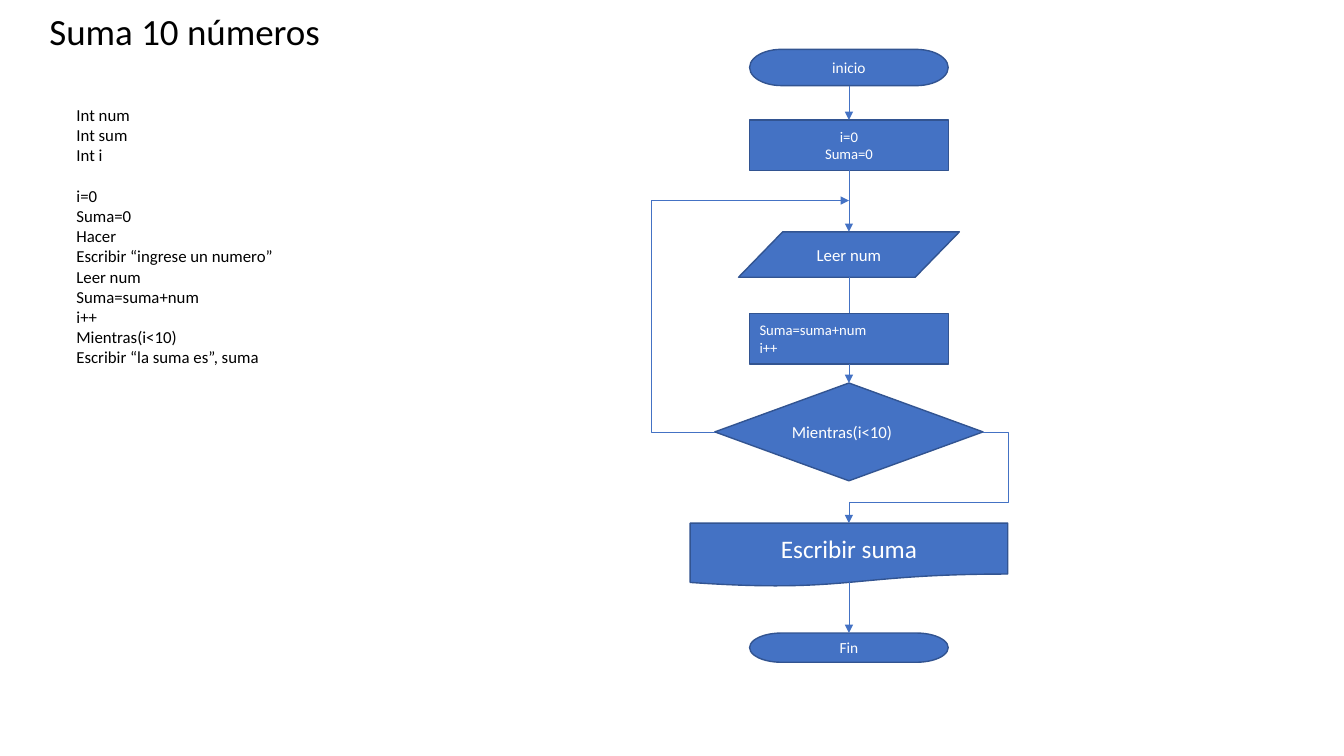
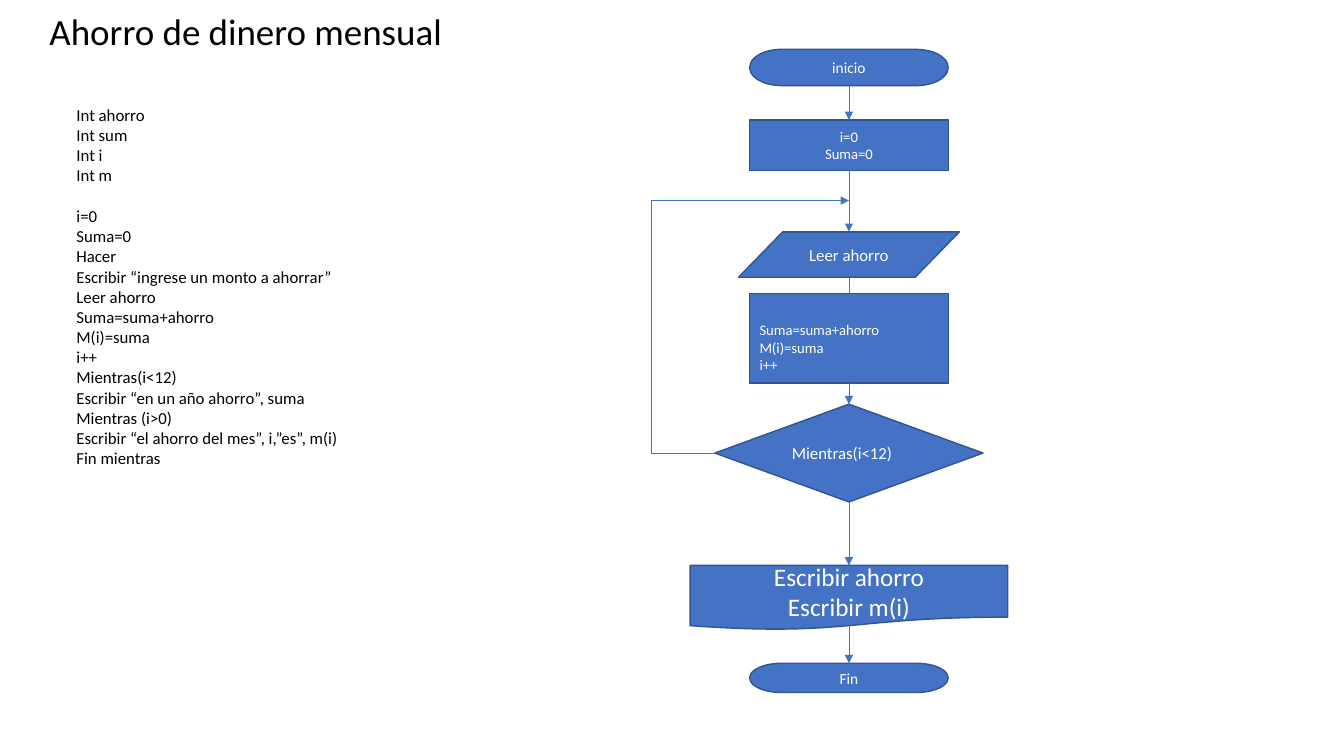
from dataclasses import dataclass

from lxml import etree
from pptx import Presentation
from pptx import util as u
from pptx.dml.color import RGBColor
from pptx.enum import shapes, text
from pptx.oxml import ns

SLIDE_WIDTH = u.Inches(13.33)
SLIDE_HEIGHT = u.Inches(7.5)
GRID_ROWS = 75
CELL = SLIDE_HEIGHT / GRID_ROWS

BLACK = RGBColor(0x00, 0x00, 0x00)
WHITE = RGBColor(0xFF, 0xFF, 0xFF)
BLUE = RGBColor(0x44, 0x72, 0xC4)
DARK_BLUE = RGBColor(0x32, 0x54, 0x91)
FONT = "Calibri"

AXIS_COLUMN = 84.2
LOOP_COLUMN = 64.55
LOOP_ROW = 19.9
EXIT_COLUMN = 100
EXIT_ROW = 49.8
TOP, BOTTOM = 0, 2
LEFT = text.PP_ALIGN.LEFT
CENTER = text.PP_ALIGN.CENTER


@dataclass(frozen=True)
class Kind:
    preset: shapes.MSO_SHAPE
    columns: float
    font_size: float
    alignment: text.PP_ALIGN = CENTER
    exit_share: float = 1
    joins_top: bool = True
    joins_bottom: bool = True
    exit_arrow: bool = True


TERMINAL = Kind(shapes.MSO_SHAPE.FLOWCHART_TERMINATOR, 19.7, 11)
SETUP = Kind(shapes.MSO_SHAPE.FLOWCHART_PROCESS, 19.7, 10.5)
PROCESS = Kind(shapes.MSO_SHAPE.FLOWCHART_PROCESS, 19.7, 10.5, LEFT)
INPUT = Kind(shapes.MSO_SHAPE.FLOWCHART_DATA, 21.9, 12,
             joins_top=False, joins_bottom=False, exit_arrow=False)
DECISION = Kind(shapes.MSO_SHAPE.FLOWCHART_DECISION, 26.6, 12, LEFT)
DOCUMENT = Kind(shapes.MSO_SHAPE.FLOWCHART_DOCUMENT, 31.5, 18,
                exit_share=0.93, joins_bottom=False)


@dataclass(frozen=True)
class Step:
    kind: Kind
    label: str
    row: float
    rows: float
    top_margin: float = 0.5

    @property
    def exit_row(self) -> float:
        return self.row + self.rows * self.kind.exit_share

    @property
    def middle_row(self) -> float:
        return self.row + self.rows / 2


@dataclass(frozen=True)
class Exercise:
    title: str
    declarations: list[str]
    instructions: list[str]
    steps: list[Step]
    side_exit: bool = False


OPENING = [
    Step(TERMINAL, "inicio", 4.9, 3.6),
    Step(SETUP, "i=0\nSuma=0", 11.9, 5),
]

EXERCISES = [
    Exercise(
        "Suma 10 números",
        ["Int num", "Int sum", "Int i"],
        ["i=0", "Suma=0", "Hacer", "Escribir “ingrese un numero”", "Leer num",
         "Suma=suma+num", "i++", "Mientras(i<10)", "Escribir “la suma es”, suma"],
        OPENING + [
            Step(INPUT, "Leer num", 23, 4.5),
            Step(PROCESS, "Suma=suma+num\ni++", 31.1, 5),
            Step(DECISION, "Mientras(i<10)", 38, 9.7),
            Step(DOCUMENT, "Escribir suma", 51.9, 6.3),
            Step(TERMINAL, "Fin", 62.8, 2.9),
        ],
        side_exit=True,
    ),
    Exercise(
        "Ahorro de dinero mensual",
        ["Int ahorro", "Int sum", "Int i", "Int m"],
        ["i=0", "Suma=0", "Hacer", "Escribir “ingrese un monto a ahorrar”",
         "Leer ahorro", "Suma=suma+ahorro", "M(i)=suma", "i++", "Mientras(i<12)",
         "Escribir “en un año ahorro”, suma", "Mientras (i>0)",
         "Escribir “el ahorro del mes”, i,”es”, m(i)", "Fin mientras"],
        OPENING + [
            Step(INPUT, "Leer ahorro", 23, 4.5),
            Step(PROCESS, "Suma=suma+ahorro\nM(i)=suma\ni++", 29.1, 8.9, 2.3),
            Step(DECISION, "Mientras(i<12)", 40.1, 9.7),
            Step(DOCUMENT, "Escribir ahorro\nEscribir m(i)", 56.1, 6.4),
            Step(TERMINAL, "Fin", 65.8, 2.9),
        ],
    ),
]


def cells(count: float) -> int:
    return round(count * CELL)


def format_text(text_frame, size: float, color: RGBColor, alignment) -> None:
    for paragraph in text_frame.paragraphs:
        paragraph.alignment = alignment
        for run in paragraph.runs:
            run.font.name = FONT
            run.font.size = u.Pt(size)
            run.font.color.rgb = color


def add_title(slide, title: str) -> None:
    shape = slide.shapes.title
    shape.left, shape.top = cells(3.9), cells(1.6)
    shape.width, shape.height = cells(83.2), cells(4.5)
    text_frame = shape.text_frame
    text_frame.text = title
    text_frame.auto_size = text.MSO_AUTO_SIZE.NONE
    text_frame.vertical_anchor = text.MSO_ANCHOR.TOP
    text_frame.paragraphs[0].line_spacing = 0.7
    format_text(text_frame, 26.4, BLACK, LEFT)


def add_pseudocode(slide, exercise: Exercise) -> None:
    shape = slide.shapes.add_textbox(cells(6.6), cells(9.9), cells(43.7), cells(62.4))
    text_frame = shape.text_frame
    text_frame.word_wrap = True
    text_frame.text = "\n".join(exercise.declarations + exercise.instructions)
    first_instruction = text_frame.paragraphs[len(exercise.declarations)]
    first_instruction.space_before = u.Pt(14.6)
    format_text(text_frame, 12, BLACK, LEFT)


def add_step(slide, step: Step):
    kind = step.kind
    shape = slide.shapes.add_shape(
        kind.preset, cells(AXIS_COLUMN - kind.columns / 2), cells(step.row),
        cells(kind.columns), cells(step.rows))
    shape.shadow.inherit = False
    shape.fill.solid()
    shape.fill.fore_color.rgb = BLUE
    shape.line.color.rgb = DARK_BLUE
    shape.line.width = u.Pt(1)
    text_frame = shape.text_frame
    text_frame.word_wrap = True
    text_frame.vertical_anchor = text.MSO_ANCHOR.MIDDLE
    text_frame.margin_top = cells(step.top_margin)
    text_frame.text = step.label
    format_text(text_frame, kind.font_size, WHITE, kind.alignment)
    return shape


def add_flow_line(slide, start: tuple[float, float], end: tuple[float, float],
                  arrow: bool = True, bend_column: float | None = None):
    straight = bend_column is None
    connector_type = shapes.MSO_CONNECTOR.STRAIGHT if straight else shapes.MSO_CONNECTOR.ELBOW
    connector = slide.shapes.add_connector(
        connector_type, *(cells(position) for position in start + end))
    connector.line.color.rgb = BLUE
    connector.line.width = u.Pt(0.5)
    properties = connector.element.spPr
    if arrow:
        etree.SubElement(properties.find(ns.qn("a:ln")), ns.qn("a:tailEnd"), type="triangle")
    etree.SubElement(properties, ns.qn("a:effectLst"))
    if not straight:
        share = (bend_column - start[0]) / (end[0] - start[0])
        adjustments = properties.find(ns.qn("a:prstGeom")).find(ns.qn("a:avLst"))
        etree.SubElement(adjustments, ns.qn("a:gd"), name="adj1",
                         fmla=f"val {round(share * 100000)}")
    return connector


def add_flowchart(slide, exercise: Exercise) -> None:
    steps = exercise.steps
    drawn = [add_step(slide, step) for step in steps]
    for index, (step, following) in enumerate(zip(steps, steps[1:])):
        side_exit = exercise.side_exit and step.kind is DECISION
        start_row = EXIT_ROW if side_exit else step.exit_row
        connector = add_flow_line(slide, (AXIS_COLUMN, start_row),
                                  (AXIS_COLUMN, following.row), step.kind.exit_arrow)
        if step.kind.joins_bottom and not side_exit:
            connector.begin_connect(drawn[index], BOTTOM)
        if following.kind.joins_top:
            connector.end_connect(drawn[index + 1], TOP)
        if step.kind is DECISION:
            half = step.kind.columns / 2
            add_flow_line(slide, (AXIS_COLUMN - half, step.middle_row),
                          (AXIS_COLUMN, LOOP_ROW), bend_column=LOOP_COLUMN)
            if side_exit:
                add_flow_line(slide, (AXIS_COLUMN + half, step.middle_row),
                              (AXIS_COLUMN, EXIT_ROW), arrow=False, bend_column=EXIT_COLUMN)


def main() -> None:
    presentation = Presentation()
    presentation.slide_width = SLIDE_WIDTH
    presentation.slide_height = SLIDE_HEIGHT
    title_only = presentation.slide_layouts[5]
    for exercise in EXERCISES:
        slide = presentation.slides.add_slide(title_only)
        add_title(slide, exercise.title)
        add_pseudocode(slide, exercise)
        add_flowchart(slide, exercise)
    presentation.save("out.pptx")


if __name__ == "__main__":
    main()
